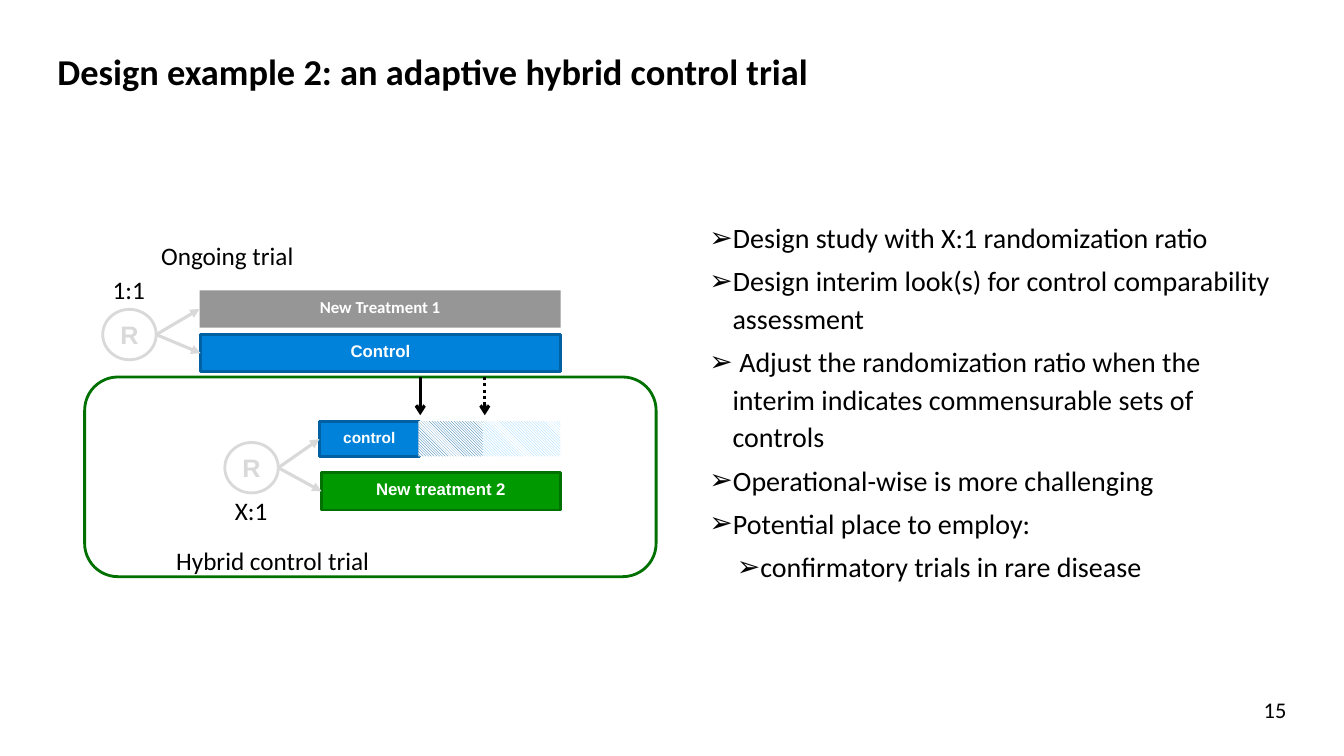
from dataclasses import dataclass

from lxml.etree import SubElement
from pptx import Presentation
from pptx.dml.color import RGBColor
from pptx.enum.dml import MSO_LINE as Dash, MSO_PATTERN as Pattern
from pptx.enum.shapes import MSO_CONNECTOR as Connector, MSO_SHAPE as Shape
from pptx.enum.text import MSO_ANCHOR as Anchor, MSO_AUTO_SIZE as AutoSize, PP_ALIGN as Align
from pptx.oxml.ns import qn
from pptx.util import Pt


@dataclass(frozen=True)
class Theme:
    """Colours, fonts and type sizes of the slide."""
    black: str = "000000"
    white: str = "FFFFFF"
    blue: str = "0082DA"
    blue_edge: str = "0060A1"
    green: str = "009900"
    green_edge: str = "007100"
    grey: str = "969696"
    pale: str = "D9D9D9"
    hatch_dark: str = "0061A3"
    hatch_light: str = "8AD0FF"
    body_font: str = "Calibri"
    bar_font: str = "Arial"
    title: int = 26
    body: int = 20
    label: int = 18
    number: int = 16
    bar: int = 12
    small_bar: int = 11


THEME = Theme()


def rgb(colour):
    """Turn a hex string into a colour."""
    return RGBColor.from_string(colour)


def style(paragraph, size, colour=THEME.black, face=THEME.body_font, bold=False):
    """Set the font of a whole paragraph."""
    font = paragraph.font
    font.size, font.name, font.bold = Pt(size), face, bold
    font.color.rgb = rgb(colour)


def set_margins(frame, across, down):
    """Set equal side margins and equal top and bottom margins."""
    frame.margin_left = frame.margin_right = Pt(across)
    frame.margin_top = frame.margin_bottom = Pt(down)


def add_label(slide, box, text, size=THEME.label):
    """Add a text box holding one line and return its frame."""
    frame = slide.shapes.add_textbox(*map(Pt, box)).text_frame
    frame.word_wrap = True
    frame.text = text
    style(frame.paragraphs[0], size)
    return frame


def add_block(slide, kind, box, fill=None, edge=None):
    """Add a flat preset shape with optional fill and outline."""
    block = slide.shapes.add_shape(kind, *map(Pt, box))
    block.shadow.inherit = False
    if fill:
        block.fill.solid()
        block.fill.fore_color.rgb = rgb(fill)
    else:
        block.fill.background()
    if edge:
        block.line.color.rgb = rgb(edge)
        block.line.width = Pt(2)
    else:
        block.line.fill.background()
    return block


def write_inside(block, text, size, colour, face):
    """Centre bold text in a shape and return its paragraph."""
    frame = block.text_frame
    frame.text = text
    frame.vertical_anchor = Anchor.MIDDLE
    paragraph = frame.paragraphs[0]
    paragraph.alignment = Align.CENTER
    style(paragraph, size, colour, face, bold=True)
    return paragraph


def add_bar(slide, box, text, fill, edge=None, size=THEME.bar, face=THEME.bar_font):
    """Add the labelled bar of one treatment arm."""
    bar = add_block(slide, Shape.RECTANGLE, box, fill, edge)
    write_inside(bar, text, size, THEME.white, face).line_spacing = Pt(11)


def add_hatch(slide, box, colour):
    """Add a hatched block for borrowed controls."""
    hatch = add_block(slide, Shape.RECTANGLE, box)
    hatch.fill.patterned()
    hatch.fill.pattern = Pattern.LIGHT_DOWNWARD_DIAGONAL
    hatch.fill.fore_color.rgb = rgb(colour)
    hatch.fill.back_color.rgb = rgb(THEME.white)


def add_arrow(slide, start, end, colour, head, dash=None):
    """Draw an arrow between two points."""
    arrow = slide.shapes.add_connector(Connector.STRAIGHT, *map(Pt, (*start, *end)))
    arrow.line.color.rgb = rgb(colour)
    arrow.line.width = Pt(2.25)
    if dash:
        arrow.line.dash_style = dash
    SubElement(arrow.line._get_or_add_ln(), qn("a:tailEnd"), type=head)
    SubElement(arrow._element.spPr, qn("a:effectLst"))


def add_randomizer(slide, left, top, ratio, ratio_shift, arms):
    """Add the R circle, its ratio and arrows to the left middle of each arm."""
    width, height = 38.2, 36
    circle = add_block(slide, Shape.OVAL, (left, top, width, height), edge=THEME.pale)
    set_margins(circle.text_frame, 0, 4)
    write_inside(circle, "R", THEME.label, THEME.pale, THEME.bar_font)
    for arm_left, arm_top, _, arm_height in arms:
        add_arrow(slide, (left + width, top + height / 2),
                  (arm_left, arm_top + arm_height / 2), THEME.pale, "triangle")
    add_label(slide, (left, top + ratio_shift, 40, 32.4), ratio)


def add_ongoing_trial(slide, left, top):
    """Draw the ongoing trial with its two arms."""
    treatment = (left + 69.2, top + 39, 257.8, 26.6)
    control = (left + 69.9, top + 70.6, 257, 26.6)
    add_bar(slide, control, "Control", THEME.blue, THEME.blue_edge)
    add_bar(slide, treatment, "New Treatment 1", THEME.grey, face=THEME.body_font)
    add_randomizer(slide, left, top + 52.6, "1:1", -28.8, (treatment, control))
    add_label(slide, (left + 34.6, top, 130.3, 28.8), "Ongoing trial")


def add_hybrid_trial(slide, left, top, width, height):
    """Draw the framed hybrid trial that borrows controls at interim looks."""
    add_block(slide, Shape.ROUNDED_RECTANGLE, (left, top, width, height), edge=THEME.green_edge)
    control = (left + 167.7, top + 31.7, 71.3, 25.2)
    treatment = (left + 169.2, top + 68.4, 170.6, 26.6)
    add_bar(slide, control, "control", THEME.blue, THEME.blue_edge, THEME.small_bar)
    add_bar(slide, treatment, "New treatment 2", THEME.green, THEME.green_edge)
    add_randomizer(slide, left + 100.1, top + 46.8, "X:1", 34.5, (control, treatment))
    looks = ((238.3, 46.1, THEME.hatch_dark, None),
             (284.4, 55.4, THEME.hatch_light, Dash.ROUND_DOT))
    for shift, span, colour, dash in looks:
        add_hatch(slide, (left + shift, top + 31.5, span, 25.2), colour)
        look = left + shift + 1.4
        add_arrow(slide, (look, top), (look, top + 27.3), THEME.black, "arrow", dash)
    add_label(slide, (left + 58.3, top + 116.6, 168.5, 28.8), "Hybrid control trial")


def add_points(slide, box, points):
    """Add the list of design points with arrowhead bullets."""
    frame = slide.shapes.add_textbox(*map(Pt, box)).text_frame
    frame.word_wrap = True
    for index, (level, text) in enumerate(points):
        point = frame.add_paragraph() if index else frame.paragraphs[0]
        point.text = text
        point.level = level
        point.line_spacing = 1.12
        point.space_before = Pt(4 if index else 0)
        properties = point._p.get_or_add_pPr()
        properties.set("marL", str(Pt(36 if level else 16.5)))
        properties.set("indent", str(Pt(-16.5)))
        SubElement(properties, qn("a:buFont"), typeface="Arial")
        SubElement(properties, qn("a:buChar"), char="➢")
        style(point, THEME.body)


def set_title(slide, box, text):
    """Place and format the title placeholder."""
    title = slide.shapes.title
    title.left, title.top, title.width, title.height = map(Pt, box)
    frame = title.text_frame
    frame.text = text
    frame.auto_size = AutoSize.NONE
    frame.vertical_anchor = Anchor.TOP
    set_margins(frame, 0, 0)
    frame.paragraphs[0].alignment = Align.LEFT
    style(frame.paragraphs[0], THEME.title, bold=True)


def add_page_number(slide, box, number):
    """Add the right-aligned page number."""
    frame = add_label(slide, box, number, THEME.number)
    set_margins(frame, 0, 0)
    frame.paragraphs[0].alignment = Align.RIGHT


def main():
    """Build the slide and save it."""
    deck = Presentation()
    deck.slide_width, deck.slide_height = Pt(960), Pt(540)
    slide = deck.slides.add_slide(deck.slide_layouts[5])
    set_title(slide, (41, 35.3, 728.6, 48.2), "Design example 2: an adaptive hybrid control trial")
    add_hybrid_trial(slide, 60.5, 269.3, 408.2, 142.6)
    add_ongoing_trial(slide, 73.4, 168.4)
    add_points(slide, (499.7, 151.2, 425.5, 274.3), (
        (0, "Design study with X:1 randomization ratio"),
        (0, "Design interim look(s) for control comparability assessment"),
        (0, " Adjust the randomization ratio when the interim indicates commensurable sets of controls"),
        (0, "Operational-wise is more challenging"),
        (0, "Potential place to employ:"),
        (1, "confirmatory trials in rare disease")))
    add_page_number(slide, (41.8, 497.5, 877, 15.1), "15")
    deck.save("out.pptx")


if __name__ == "__main__":
    main()
